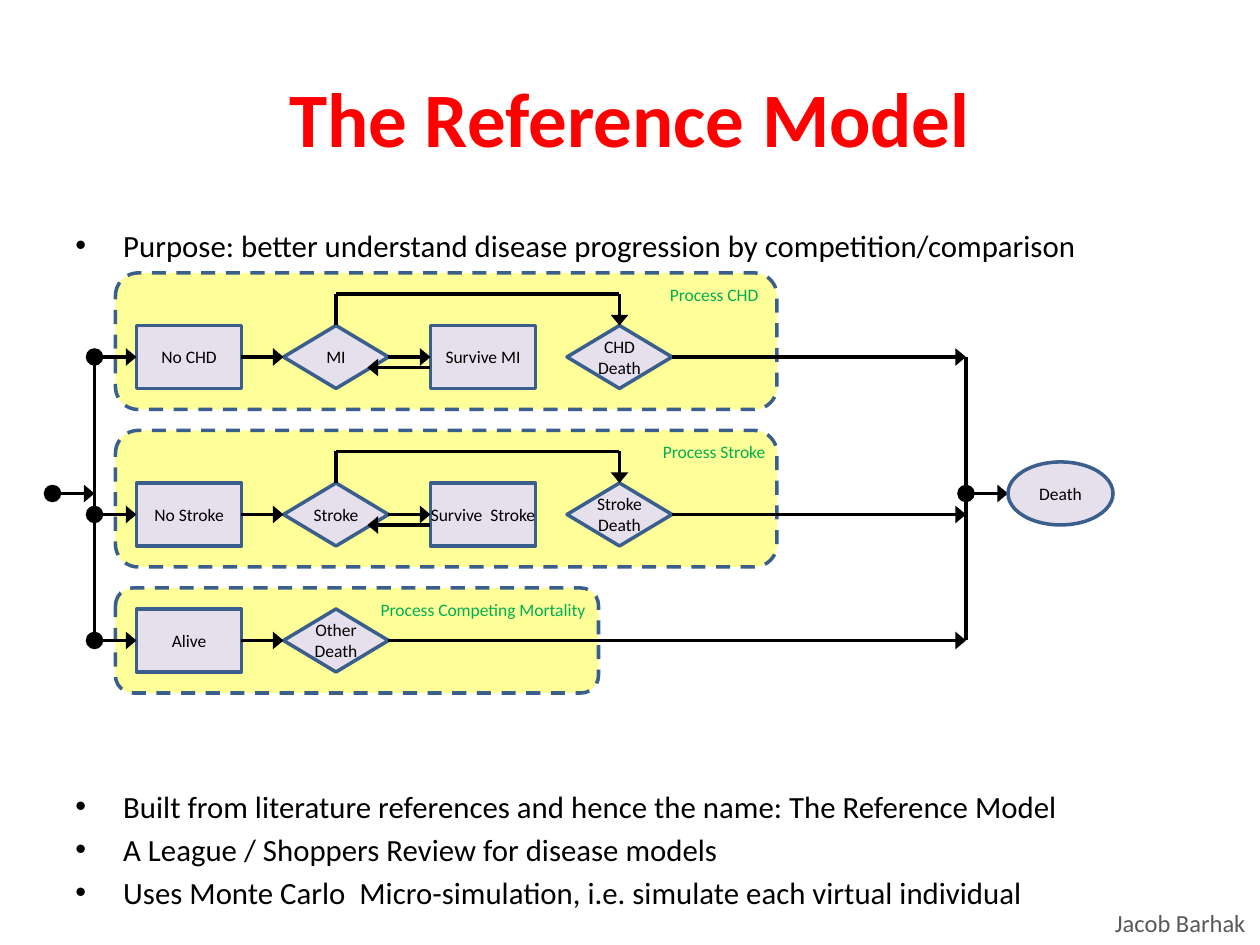
from pptx import Presentation
from pptx.dml.color import RGBColor
from pptx.enum.dml import MSO_LINE
from pptx.enum.shapes import MSO_CONNECTOR, MSO_SHAPE
from pptx.enum.text import MSO_ANCHOR, PP_ALIGN
from pptx.oxml.ns import qn
from pptx.util import Inches, Pt
from lxml.etree import SubElement

TITLE = "The Reference Model"
AUTHOR = "Jacob Barhak"
BULLETS = [  # text, space before in points
    ("Purpose: better understand disease progression by competition/comparison", 0),
    ("Built from literature references and hence the name: The Reference Model", 299.5),
    ("A League / Shoppers Review for disease models", 3.5),
    ("Uses Monte Carlo  Micro-simulation, i.e. simulate each virtual individual", 3.5),
]
# All diagram lengths are in grid cells of 1/12 inch.
PROCESSES = [
    dict(label="Process CHD", label_box=(63, 10), panel=(26, 63, 13), node_top=31,
         nodes=["No CHD", "MI", "Survive MI", "CHD Death"]),
    dict(label="Process Stroke", label_box=(63, 10), panel=(41, 63, 13), node_top=46,
         nodes=["No Stroke", "Stroke", "Survive  Stroke", "Stroke Death"]),
    dict(label="Process Competing Mortality", label_box=(35, 22), panel=(56, 46, 10),
         node_top=58, nodes=["Alive", "Other Death"]),
]
COLUMNS = [13, 27, 41, 54]
KINDS = [MSO_SHAPE.RECTANGLE, MSO_SHAPE.FLOWCHART_DECISION] * 2
NODE_WIDTH, NODE_HEIGHT = 10, 6
PANEL_LEFT, FORK_X, MERGE_X = 11, 9, 92
START_X, DEATH_X, MAIN_Y = 5, 96, 47

THEME = dict(
    font="Calibri", title="FF0000", text="000000", author="595959", label="00B050",
    panel="FFFF99", node="E6E0EC", outline="3A5F8C", arrow="000000",
    title_size=44, body_size=17.6, author_size=14, node_size=10, line_width=2,
)


def cells(count):
    return Inches(count / 12)


def color(name):
    return RGBColor.from_string(THEME[name])


def format_text(shape, size, color_name, align=PP_ALIGN.LEFT, bold=False):
    for paragraph in shape.text_frame.paragraphs:
        paragraph.alignment = align
        for run in paragraph.runs:
            run.font.name = THEME["font"]
            run.font.size = Pt(THEME[size])
            run.font.bold = bold
            run.font.color.rgb = color(color_name)


def add_text(slide, text, box, size, color_name, **style):
    shape = slide.shapes.add_textbox(*box)
    shape.text_frame.word_wrap = True
    shape.text_frame.text = text
    format_text(shape, size, color_name, **style)
    return shape


def set_small_text(shape, text, color_name):
    """Centre small text with no side margins, as nodes and labels use it."""
    frame = shape.text_frame
    frame.text = text
    frame.word_wrap = True
    frame.margin_left = frame.margin_right = 0
    frame.vertical_anchor = MSO_ANCHOR.MIDDLE
    format_text(shape, "node_size", color_name, PP_ALIGN.CENTER)


def add_outlined(slide, kind, box, fill):
    shape = slide.shapes.add_shape(kind, *map(cells, box))
    shape.shadow.inherit = False
    shape.fill.solid()
    shape.fill.fore_color.rgb = color(fill)
    shape.line.color.rgb = color("outline")
    shape.line.width = Pt(THEME["line_width"])
    return shape


def add_node(slide, kind, text, left, top):
    node = add_outlined(slide, kind, (left, top, NODE_WIDTH, NODE_HEIGHT), "node")
    set_small_text(node, text, "text")
    return node


def add_line(slide, start, end, source=None, target=None, head=None, tail="triangle"):
    """Draw a line; source and target are (shape, side) pairs to join."""
    line = slide.shapes.add_connector(MSO_CONNECTOR.STRAIGHT, *map(cells, (*start, *end)))
    if source:
        line.begin_connect(*source)
    if target:
        line.end_connect(*target)
    line.line.color.rgb = color("arrow")
    line.line.width = Pt(THEME["line_width"])
    outline = line.line._get_or_add_ln()
    for tag, ending, length in (("a:headEnd", head, "lg"), ("a:tailEnd", tail, "med")):
        if ending:
            SubElement(outline, qn(tag), type=ending, w="lg", len=length)
    SubElement(line._element.spPr, qn("a:effectLst"))


def add_event_loop(slide, nodes, top):
    """Add the bypass from event to death and the return from survival."""
    event, survive, death = nodes[1:]
    event_x, death_x = (COLUMNS[i] + NODE_WIDTH / 2 for i in (1, 3))
    bypass_y, return_y = top - 3, top + 4
    add_line(slide, (event_x, bypass_y), (death_x, bypass_y), tail=None)
    add_line(slide, (event_x, top), (event_x, bypass_y), source=(event, 0), tail=None)
    add_line(slide, (death_x, bypass_y), (death_x, top), target=(death, 0))
    add_line(slide, (COLUMNS[2], return_y), (COLUMNS[2] - 6, return_y))


def add_process(slide, process):
    """Draw one process and return the height of its flow line."""
    panel_top, panel_width, panel_height = process["panel"]
    panel = add_outlined(slide, MSO_SHAPE.ROUNDED_RECTANGLE,
                         (PANEL_LEFT, panel_top, panel_width, panel_height), "panel")
    panel.line.dash_style = MSO_LINE.DASH

    top = process["node_top"]
    middle = top + NODE_HEIGHT / 2
    nodes = [add_node(slide, kind, text, left, top)
             for kind, text, left in zip(KINDS, process["nodes"], COLUMNS)]
    for i in range(min(2, len(nodes) - 1)):
        add_line(slide, (COLUMNS[i] + NODE_WIDTH, middle), (COLUMNS[i + 1], middle),
                 source=(nodes[i], 3), target=(nodes[i + 1], 1))
    if len(nodes) == len(COLUMNS):
        add_event_loop(slide, nodes, top)

    add_line(slide, (FORK_X, middle), (COLUMNS[0], middle), target=(nodes[0], 1), head="oval")
    last_right = COLUMNS[len(nodes) - 1] + NODE_WIDTH
    add_line(slide, (last_right, middle), (MERGE_X, middle), source=(nodes[-1], 3))

    left, width = process["label_box"]
    label = slide.shapes.add_textbox(*map(cells, (left, panel_top, width, 4)))
    set_small_text(label, process["label"], "label")
    return middle


def add_bullets(slide):
    body = add_text(slide, "\n".join(text for text, _ in BULLETS),
                    map(Inches, (0.5, 1.75, 9, 4.95)), "body_size", "text")
    for paragraph, (_, space) in zip(body.text_frame.paragraphs, BULLETS):
        paragraph.space_before = Pt(space)
        properties = paragraph._p.get_or_add_pPr()
        properties.set("marL", str(Inches(0.38)))
        properties.set("indent", str(-Inches(0.38)))
        SubElement(properties, qn("a:buFont")).set("typeface", "Arial")
        SubElement(properties, qn("a:buChar")).set("char", "•")


def main():
    presentation = Presentation()
    presentation.slide_width, presentation.slide_height = Inches(10), Inches(7.5)
    slide = presentation.slides.add_slide(presentation.slide_layouts[6])

    author = add_text(slide, AUTHOR, map(Inches, (8.75, 7.16, 1.25, 0.34)),
                      "author_size", "author")
    author.text_frame.word_wrap = False
    title = add_text(slide, TITLE, map(Inches, (0.5, 0.3, 9, 1.25)), "title_size", "title",
                     align=PP_ALIGN.CENTER, bold=True)
    title.text_frame.vertical_anchor = MSO_ANCHOR.MIDDLE
    add_bullets(slide)

    middles = [add_process(slide, process) for process in PROCESSES]
    for x, end_x in ((START_X, FORK_X), (MERGE_X, DEATH_X)):
        add_line(slide, (x, MAIN_Y), (end_x, MAIN_Y), head="oval")
    for x in (FORK_X, MERGE_X):
        add_line(slide, (x, middles[0]), (x, middles[-1]), tail=None)
    add_node(slide, MSO_SHAPE.OVAL, "Death", DEATH_X, MAIN_Y - NODE_HEIGHT / 2)

    presentation.save("out.pptx")


if __name__ == "__main__":
    main()
